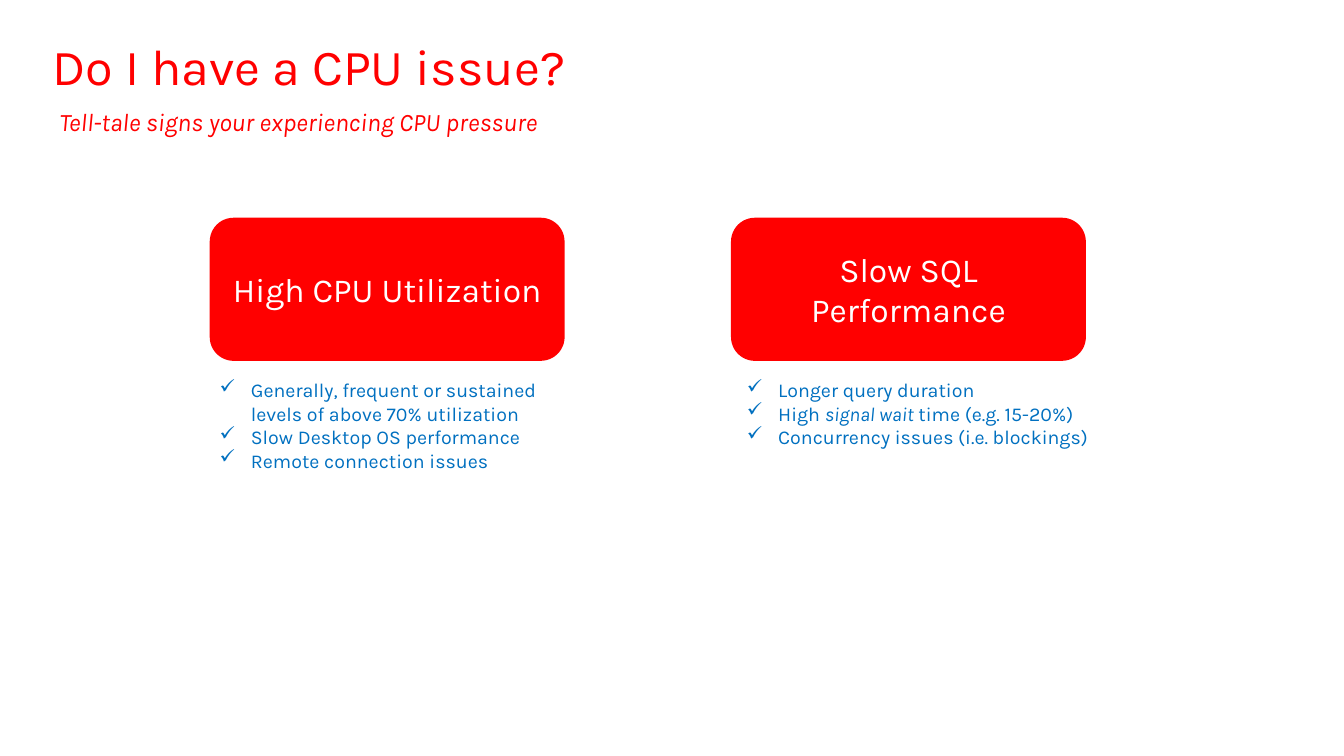
from dataclasses import dataclass

from lxml.etree import SubElement
from pptx import Presentation
from pptx.dml.color import RGBColor
from pptx.enum.shapes import MSO_SHAPE as Shape
from pptx.enum.text import MSO_ANCHOR as Anchor, MSO_AUTO_SIZE as AutoSize, PP_ALIGN as Align
from pptx.oxml.ns import qn
from pptx.util import Inches, Pt

# Content: each bullet is a list of (text, italic) runs
TITLE = "Do I have a CPU issue?"
SUBTITLE = "Tell-tale signs your experiencing CPU pressure"
SIGNS = [
    {
        "heading": "High CPU Utilization",
        "symptoms": [
            [("Generally, frequent or sustained levels of above 70% utilization", False)],
            [("Slow Desktop OS performance", False)],
            [("Remote connection issues", False)],
        ],
        "list_shift": 0, "list_width": 3.52, "list_height": 1.04,
    },
    {
        "heading": "Slow SQL Performance",
        "symptoms": [
            [("Longer query duration", False)],
            [("High ", False), ("signal wait", True), (" time (e.g. 15-20%)", False)],
            [("Concurrency issues (i.e. blockings)", False)],
        ],
        "list_shift": 0.06, "list_width": 3.95, "list_height": 0.81,
    },
]


@dataclass(frozen=True)
class Theme:
    font: str = "Karla"
    red: str = "FF0000"
    white: str = "FFFFFF"
    blue: str = "0070C0"
    title: int = 36
    heading: int = 24
    subtitle: int = 18
    symptom: int = 14


THEME = Theme()

# Layout in inches
SLIDE_W, SLIDE_H = 13.33, 7.5
TITLE_BOX = (0.42, 0.28, 11.5, 0.81)
SUBTITLE_BOX = (0.49, 1.01, 7.79, 0.4)
FIRST_COLUMN, COLUMN_STEP = 2.08, 5.17
CARD_TOP, CARD_W, CARD_H = 2.16, 3.52, 1.42
LIST_TOP = CARD_TOP + CARD_H + 0.12
INDENT = 0.31


def inches(box):
    return [Inches(length) for length in box]


def add_run(paragraph, text, size, color, italic=False):
    run = paragraph.add_run()
    run.text = text
    looks = {"name": THEME.font, "size": Pt(size), "italic": italic}
    for attribute, value in looks.items():
        setattr(run.font, attribute, value)
    run.font.color.rgb = RGBColor.from_string(color)


def add_check_mark(paragraph):
    properties = paragraph._p.get_or_add_pPr()
    properties.set("marL", str(Inches(INDENT)))
    properties.set("indent", str(-Inches(INDENT)))
    SubElement(properties, qn("a:buChar")).set("char", "✓")


def add_text_box(slide, box):
    frame = slide.shapes.add_textbox(*inches(box)).text_frame
    frame.word_wrap = True
    frame.auto_size = AutoSize.SHAPE_TO_FIT_TEXT
    return frame


def add_card(slide, heading, left):
    card = slide.shapes.add_shape(
        Shape.ROUNDED_RECTANGLE, *inches((left, CARD_TOP, CARD_W, CARD_H)))
    card.shadow.inherit = False
    card.fill.solid()
    card.fill.fore_color.rgb = RGBColor.from_string(THEME.red)
    card.line.fill.background()
    card.text_frame.word_wrap = True
    card.text_frame.vertical_anchor = Anchor.MIDDLE
    paragraph = card.text_frame.paragraphs[0]
    paragraph.alignment = Align.CENTER
    add_run(paragraph, heading, THEME.heading, THEME.white)


def add_symptoms(slide, sign, left):
    frame = add_text_box(slide, (left + sign["list_shift"], LIST_TOP,
                                 sign["list_width"], sign["list_height"]))
    for row, symptom in enumerate(sign["symptoms"]):
        paragraph = frame.add_paragraph() if row else frame.paragraphs[0]
        add_check_mark(paragraph)
        for text, italic in symptom:
            add_run(paragraph, text, THEME.symptom, THEME.blue, italic)


def main():
    deck = Presentation()
    deck.slide_width, deck.slide_height = inches((SLIDE_W, SLIDE_H))
    slide = deck.slides.add_slide(deck.slide_layouts[5])

    # Title and subtitle
    title = slide.shapes.title
    title.left, title.top, title.width, title.height = inches(TITLE_BOX)
    title.text_frame.vertical_anchor = Anchor.MIDDLE
    heading = title.text_frame.paragraphs[0]
    heading.alignment = Align.LEFT
    heading.line_spacing = 0.9
    add_run(heading, TITLE, THEME.title, THEME.red)
    subtitle = add_text_box(slide, SUBTITLE_BOX).paragraphs[0]
    add_run(subtitle, SUBTITLE, THEME.subtitle, THEME.red, italic=True)

    # One column per sign: card above, symptoms below
    for column, sign in enumerate(SIGNS):
        left = FIRST_COLUMN + column * COLUMN_STEP
        add_card(slide, sign["heading"], left)
        add_symptoms(slide, sign, left)

    deck.save("out.pptx")


if __name__ == "__main__":
    main()
